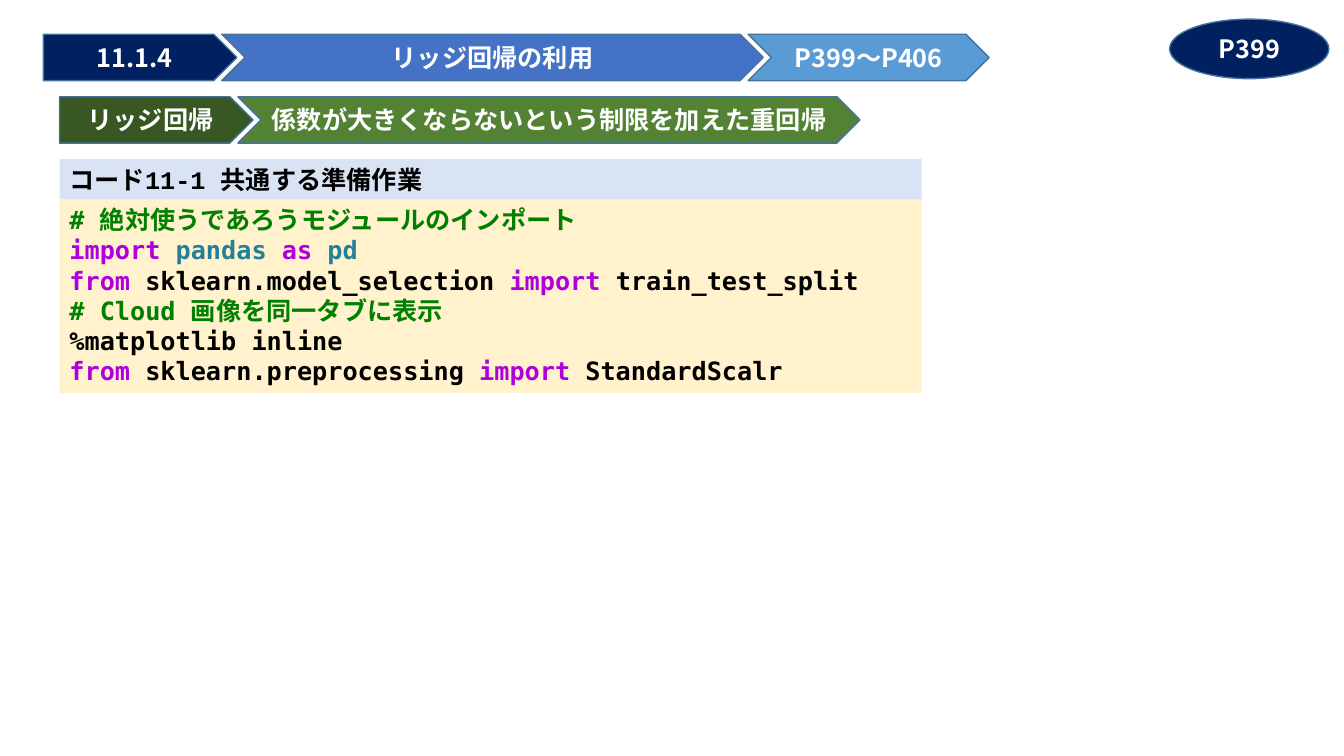
from lxml.etree import SubElement
from pptx import Presentation
from pptx.dml.color import RGBColor
from pptx.enum.shapes import MSO_SHAPE
from pptx.enum.text import MSO_ANCHOR, PP_ALIGN
from pptx.oxml.ns import qn
from pptx.util import Inches, Pt

HEX = {
    "navy": "002060", "blue": "4472C4", "sky": "5B9BD5", "edge": "43739E",
    "forest": "385723", "green": "548235", "cream": "FFF2CC", "pale": "DAE3F3",
    "white": "FFFFFF", "black": "000000",
    "note": "008000", "key": "AF00DB", "module": "267F99",
}
SANS, MONO, COURIER = "Noto Sans CJK JP", "DejaVu Sans Mono", "Courier New"

deck = Presentation()
deck.slide_width, deck.slide_height = Inches(13.33), Inches(7.5)
slide = deck.slides.add_slide(deck.slide_layouts[6])


def add_box(kind, left, top, width, height, fill, edge=None):
    """Add a filled shape without shadow and return it."""
    box = slide.shapes.add_shape(
        kind, Inches(left), Inches(top), Inches(width), Inches(height))
    box.shadow.inherit = False
    box.fill.solid()
    box.fill.fore_color.rgb = RGBColor.from_string(HEX[fill])
    if edge:
        box.line.color.rgb = RGBColor.from_string(HEX[edge])
        box.line.width = Pt(1)
    else:
        box.line.fill.background()
    return box


def write(box, lines, face, align=PP_ALIGN.LEFT):
    """Fill a shape with lines, each a list of (text, colour) runs."""
    frame = box.text_frame
    frame.word_wrap = True
    if align == PP_ALIGN.CENTER:
        frame.margin_left = frame.margin_right = 0
        frame.vertical_anchor = MSO_ANCHOR.MIDDLE
    else:
        frame.vertical_anchor = MSO_ANCHOR.TOP
    for row, line in enumerate(lines):
        para = frame.paragraphs[0] if row == 0 else frame.add_paragraph()
        para.alignment = align
        for text, color in line:
            run = para.add_run()
            run.text = text
            font = run.font
            font.name, font.size, font.bold = face, Pt(18), True
            font.color.rgb = RGBColor.from_string(HEX[color])
            # Japanese characters take the East Asian typeface
            SubElement(run._r.get_or_add_rPr(), qn("a:ea")).set("typeface", SANS)


# Heading bands: each chevron tucks into the point of the one before
bands = [
    (0.43, 0.34, [("11.1.4", 1.92, "navy"),
                  ("リッジ回帰の利用", 5.37, "blue"),
                  ("P399～P406", 2.39, "sky")]),
    (0.59, 0.96, [("リッジ回帰", 1.92, "forest"),
                  ("係数が大きくならないという制限を加えた重回帰", 6.17, "green")]),
]
for left, top, steps in bands:
    kind = MSO_SHAPE.PENTAGON
    for text, width, fill in steps:
        step = add_box(kind, left, top, width, 0.46, fill, "edge")
        write(step, [[(text, "white")]], SANS, PP_ALIGN.CENTER)
        left += width - 0.15
        kind = MSO_SHAPE.CHEVRON

# Code listing
code = [
    [("#\u00a0絶対使うであろうモジュールのインポート", "note")],
    [("import\u00a0", "key"), ("pandas\u00a0", "module"),
     ("as\u00a0", "key"), ("pd", "module")],
    [("from", "key"), ("\u00a0sklearn.model_selection\u00a0", "black"),
     ("import", "key"), ("\u00a0train_test_split", "black")],
    [("#\u00a0Cloud\u00a0画像を同一タブに表示", "note")],
    [("%matplotlib\u00a0inline", "black")],
    [("from", "key"), ("\u00a0sklearn.preprocessing\u00a0", "black"),
     ("import", "key"), ("\u00a0StandardScalr", "black")],
]
panel = add_box(MSO_SHAPE.RECTANGLE, 0.59, 1.98, 8.55, 1.92, "cream")
write(panel, code, MONO)
title = add_box(MSO_SHAPE.RECTANGLE, 0.59, 1.58, 8.55, 0.4, "pale")
write(title, [[("コード11-1 共通する準備作業", "black")]], COURIER)

# Page badge
badge = add_box(MSO_SHAPE.OVAL, 11.6, 0.19, 1.58, 0.59, "navy", "edge")
write(badge, [[("P399", "white")]], SANS, PP_ALIGN.CENTER)

deck.save("out.pptx")
